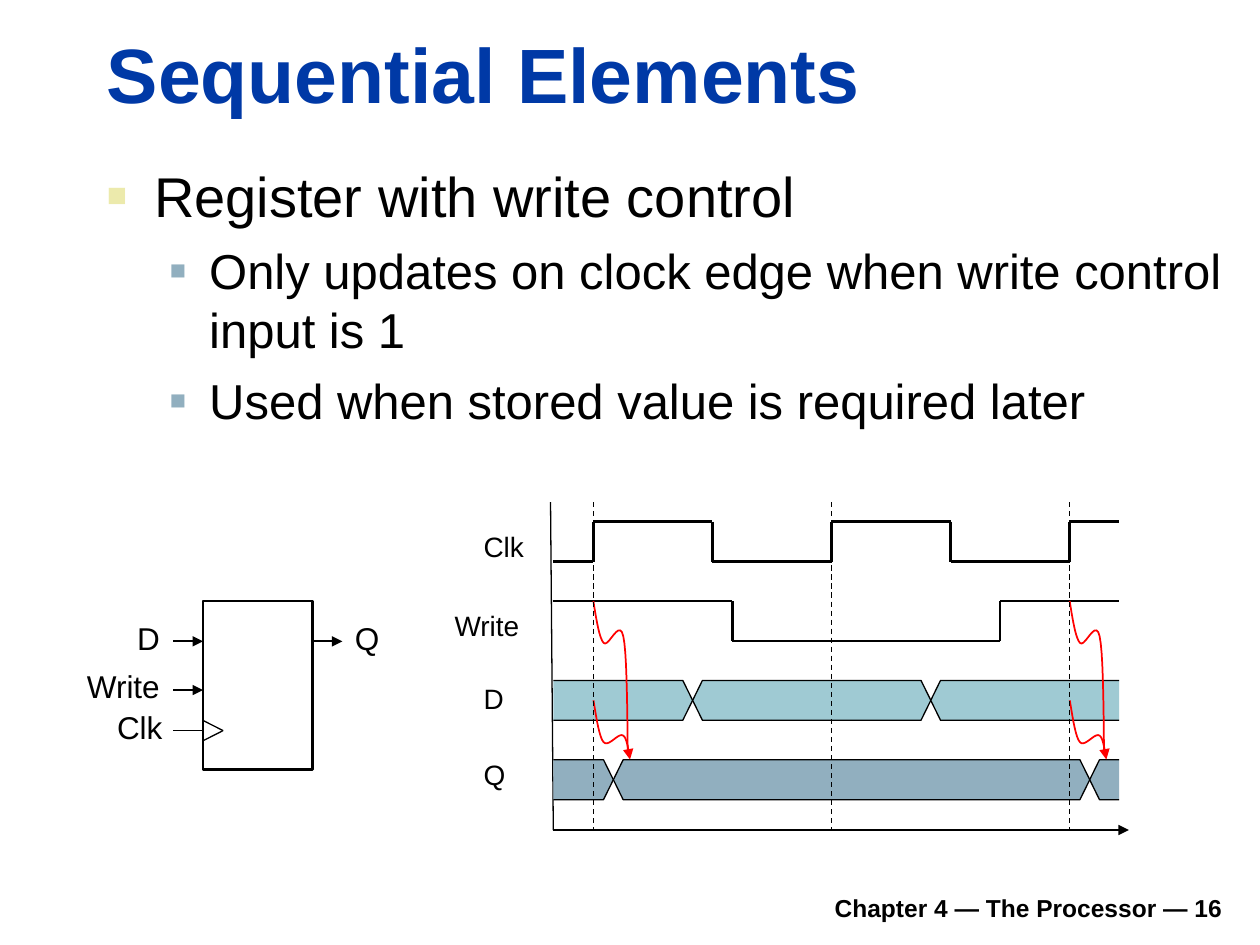
from dataclasses import dataclass
from itertools import pairwise

from lxml.etree import SubElement
from pptx import Presentation
from pptx.dml.color import RGBColor as RGB
from pptx.enum.dml import MSO_LINE_DASH_STYLE as Dash
from pptx.enum.shapes import MSO_CONNECTOR as Link, MSO_SHAPE as Preset
from pptx.enum.text import MSO_ANCHOR as Anchor, PP_ALIGN as Align
from pptx.oxml.ns import qn
from pptx.util import Pt


@dataclass(frozen=True)
class Theme:
    font: str = "Arial"
    ink: str = "000000"
    heading: str = "0039A6"
    bullet: str = "ECEAAC"
    sub_bullet: str = "91AFBF"
    input_bus: str = "9FCAD3"
    output_bus: str = "91AFBF"
    cause: str = "FF0000"
    title_size: int = 44
    body_size: int = 32
    sub_size: int = 28
    pin_size: int = 18
    signal_size: int = 16
    footer_size: int = 14
    thin: float = 0.75
    medium: float = 1
    thick: float = 1.5


THEME = Theme()

TITLE = "Sequential Elements"
FOOTER = "Chapter 4 — The Processor — 16"
POINTS = [
    (0, "Register with write control"),
    (1, "Only updates on clock edge when write control input is 1"),
    (1, "Used when stored value is required later"),
]
LEVELS = [
    dict(size=THEME.body_size, before=8, indent=(27, -27),
         bullet=(THEME.bullet, 60)),
    dict(size=THEME.sub_size, before=7, indent=(58.5, -22.5),
         bullet=(THEME.sub_bullet, 55)),
]

REGISTER = (116, 343.4, 62.6, 96.4)
WIRE = 17
PIN_ROWS = {"D": 366.5, "Write": 394.3, "Clk": 417.5}
PIN_LABELS = [
    ("D", 71.3, 350, 27.4), ("Write", 42.6, 377.6, 56),
    ("Clk", 59.8, 401, 40.3), ("Q", 195.7, 350, 28.1),
]

START, END = 316.2, 639.5
FIRST_EDGE, PERIOD = 339.1, 136.1
EDGES = [FIRST_EDGE + i * PERIOD for i in range(3)]
SWING = 22.8
SLANT = 5.6
AXIS_TOP, AXIS_BOTTOM = 287, 474.3
ROWS = {name: 298.1 + i * 45.36
        for i, name in enumerate(["Clk", "Write", "D", "Q"])}
SIGNAL_LABELS = [
    ("Clk", 269.3, 299, 37.3), ("Write", 252.7, 344.3, 51.1),
    ("D", 269.3, 385.9, 26), ("Q", 269.3, 429.3, 26.6),
]
WRITE_CHANGES = [418.4, 571.5]
BUSES = [
    ("D", [395.8, 531.9], THEME.input_bus),
    ("Q", [350.5, 622.7], THEME.output_bus),
]
DATA_CAUSE = [
    [(0, 0), (0.9, 4.3), (2.9, 20.9), (5.8, 23.9)],
    [(5.8, 23.9), (8.6, 27.2), (14.4, 18), (17.1, 20.2)],
    [(17.1, 20.2), (19.4, 21.6), (20.2, 31), (20.9, 33.8)],
]
WRITE_CAUSE = [
    [(0, 0), (0.7, 4.3), (2.9, 20.9), (5.8, 23.9)],
    [(5.8, 23.9), (8.6, 27.2), (14.8, 9.4), (17.1, 20.2)],
    [(17.1, 20.2), (19.4, 30.2), (19.4, 72.7), (19.6, 86.4)],
]


def write(paragraph, text, *, size, color=THEME.ink, bold=False,
          align=Align.LEFT, before=0, indent=None, bullet=None):
    paragraph.alignment = align
    paragraph.space_before = Pt(before)
    run = paragraph.add_run()
    run.text = text
    run.font.name, run.font.size, run.font.bold = THEME.font, Pt(size), bold
    run.font.color.rgb = RGB.from_string(color)
    if bullet:
        props = paragraph._p.get_or_add_pPr()
        props.set("marL", str(Pt(indent[0])))
        props.set("indent", str(Pt(indent[1])))
        tint, percent = bullet
        SubElement(SubElement(props, qn("a:buClr")), qn("a:srgbClr"), val=tint)
        SubElement(props, qn("a:buSzPct"), val=str(percent * 1000))
        SubElement(props, qn("a:buFont"), typeface=THEME.font)
        SubElement(props, qn("a:buChar"), char="■")


def add_frame(shapes, box, wrap=True, anchor=Anchor.TOP):
    frame = shapes.add_textbox(*map(Pt, box)).text_frame
    frame.word_wrap, frame.vertical_anchor = wrap, anchor
    return frame


def add_labels(shapes, labels, size):
    for text, left, top, width in labels:
        frame = add_frame(shapes, (left, top, width, size * 1.6), wrap=False)
        write(frame.paragraphs[0], text, size=size)


def set_line(shape, width, color=THEME.ink, dash=None, arrow=False):
    shape.line.color.rgb = RGB.from_string(color)
    shape.line.width = Pt(width)
    if dash:
        shape.line.dash_style = dash
    if arrow:
        SubElement(shape.element.spPr.find(qn("a:ln")), qn("a:tailEnd"),
                   type="triangle")


def add_line(shapes, begin, end, width=THEME.thin, **style):
    line = shapes.add_connector(Link.STRAIGHT, *map(Pt, (*begin, *end)))
    set_line(line, width, **style)
    SubElement(line.element.spPr, qn("a:effectLst"))


def add_wave(shapes, corners):
    for begin, end in pairwise(corners):
        add_line(shapes, begin, end, THEME.thick)


def add_outline(shapes, corners, fill=None, close=False, width=THEME.thin, **style):
    corners = [(Pt(x), Pt(y)) for x, y in corners]
    builder = shapes.build_freeform(*corners[0])
    builder.add_line_segments(corners[1:], close=close)
    outline = builder.convert_to_shape()
    outline.shadow.inherit = False
    if fill:
        outline.fill.solid()
        outline.fill.fore_color.rgb = RGB.from_string(fill)
    else:
        outline.fill.background()
    set_line(outline, width, **style)


def add_bus(shapes, top, crossings, fill):
    middle, bottom = top + SWING / 2, top + SWING
    for left, right in pairwise([START, *crossings, END]):
        opening = [(left + SLANT, bottom), (left, middle), (left + SLANT, top)]
        closing = [(right - SLANT, top), (right, middle), (right - SLANT, bottom)]
        if left == START:
            corners = [(left, top), *closing, (left, bottom)]
        elif right == END:
            corners = [(right, bottom), *opening, (right, top)]
        else:
            corners = opening + closing
        add_outline(shapes, corners, fill, close=START < left and right < END)


def trace(curves, left, top, steps=10):
    points = [(left, top)]
    for a, b, c, d in curves:
        for t in (i / steps for i in range(1, steps + 1)):
            weights = ((1 - t) ** 3, 3 * t * (1 - t) ** 2, 3 * t * t * (1 - t), t ** 3)
            x, y = (sum(w * v for w, v in zip(weights, axis)) for axis in zip(a, b, c, d))
            points.append((left + x, top + y))
    return points


def draw_register(shapes):
    left, _, width, _ = REGISTER
    body = shapes.add_shape(Preset.RECTANGLE, *map(Pt, REGISTER))
    body.shadow.inherit = False
    body.fill.background()
    set_line(body, THEME.thick)
    for pin, y in PIN_ROWS.items():
        clocked = pin == "Clk"
        add_line(shapes, (left - WIRE, y), (left, y),
                 THEME.thin if clocked else THEME.medium, arrow=not clocked)
    right, y = left + width, PIN_ROWS["D"]
    add_line(shapes, (right, y), (right + WIRE, y), THEME.medium, arrow=True)
    for offset in (-5.8, 5.8):
        y = PIN_ROWS["Clk"]
        add_line(shapes, (left, y + offset), (left + 11.5, y))
    add_labels(shapes, PIN_LABELS, THEME.pin_size)


def draw_timing(shapes):
    add_line(shapes, (START, AXIS_BOTTOM), (645.1, AXIS_BOTTOM), arrow=True)
    add_line(shapes, (START, AXIS_BOTTOM), (314.6, AXIS_TOP))
    add_labels(shapes, SIGNAL_LABELS, THEME.signal_size)
    for name, crossings, fill in BUSES:
        add_bus(shapes, ROWS[name], crossings, fill)

    high, low = ROWS["Clk"], ROWS["Clk"] + SWING
    clock = [(START, low)]
    for edge in EDGES:
        fall = min(edge + PERIOD / 2, END)
        clock += [(edge, low), (edge, high), (fall, high)]
        if fall < END:
            clock.append((fall, low))
    add_wave(shapes, clock)

    high, low = ROWS["Write"], ROWS["Write"] + SWING
    fall, rise = WRITE_CHANGES
    add_wave(shapes, [(START, high), (fall, high), (fall, low),
                      (rise, low), (rise, high), (END, high)])

    for edge in (EDGES[0], EDGES[-1]):
        for curves, top, arrow in ((DATA_CAUSE, ROWS["D"] + SWING / 2, True),
                                   (WRITE_CAUSE, ROWS["Write"], False)):
            add_outline(shapes, trace(curves, edge, top), width=THEME.medium,
                        color=THEME.cause, arrow=arrow)
    for edge in EDGES:
        add_line(shapes, (edge, AXIS_TOP), (edge, AXIS_BOTTOM), dash=Dash.DASH)


def main():
    deck = Presentation()
    deck.slide_width, deck.slide_height = Pt(720), Pt(540)
    shapes = deck.slides.add_slide(deck.slide_layouts[6]).shapes
    footer = add_frame(shapes, (133.2, 502.6, 572.4, 28), anchor=Anchor.BOTTOM)
    write(footer.paragraphs[0], FOOTER, size=THEME.footer_size, bold=True,
          align=Align.RIGHT)
    title = add_frame(shapes, (54, 11.5, 650, 59.8), anchor=Anchor.BOTTOM)
    write(title.paragraphs[0], TITLE, size=THEME.title_size,
          color=THEME.heading, bold=True)
    body = add_frame(shapes, (54, 88.6, 651, 181.4))
    for i, (level, text) in enumerate(POINTS):
        paragraph = body.add_paragraph() if i else body.paragraphs[0]
        paragraph.level = level
        write(paragraph, text, **LEVELS[level])
    draw_register(shapes.add_group_shape().shapes)
    draw_timing(shapes.add_group_shape().shapes)
    deck.save("out.pptx")


if __name__ == "__main__":
    main()
